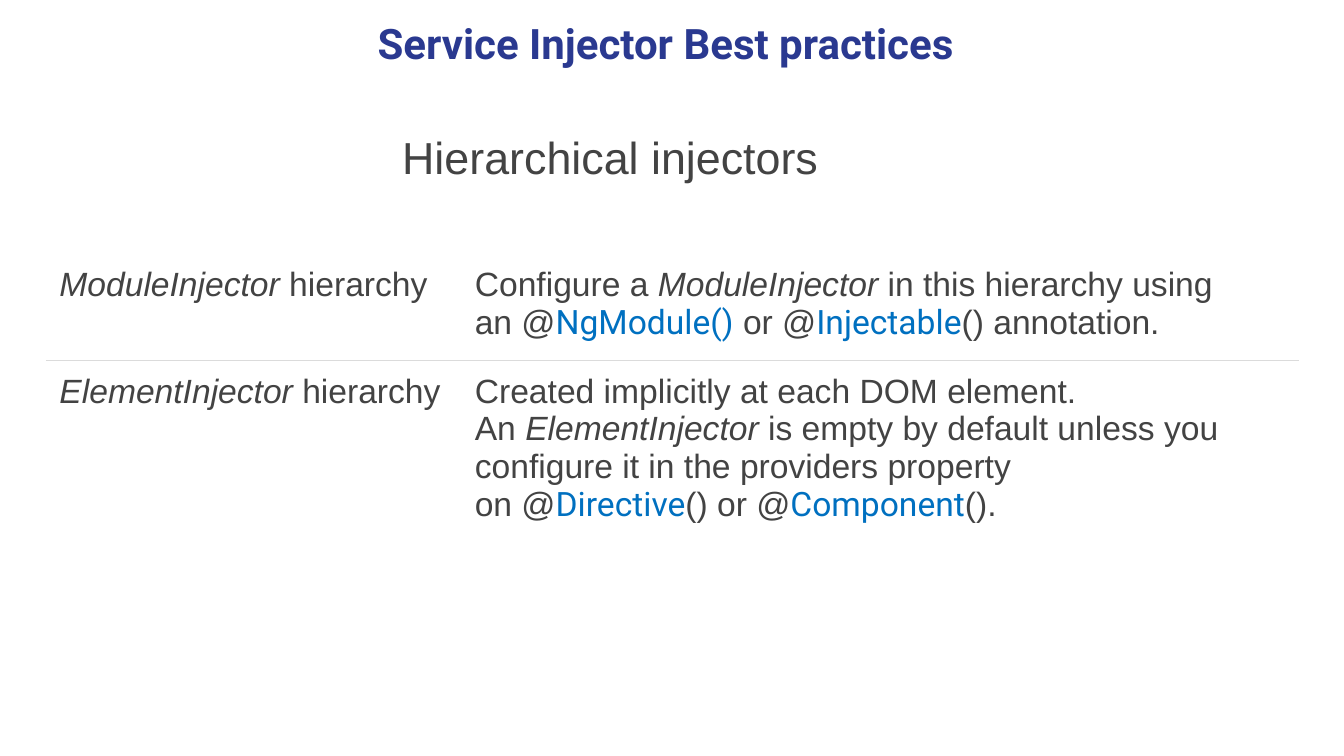
from lxml import etree
from pptx import Presentation
from pptx.dml.color import RGBColor
from pptx.enum.text import MSO_ANCHOR, PP_ALIGN
from pptx.oxml.ns import qn
from pptx.util import Inches, Pt

MIDDLE, TOP = MSO_ANCHOR.MIDDLE, MSO_ANCHOR.TOP
CENTER, LEFT = PP_ALIGN.CENTER, PP_ALIGN.LEFT
NAVY = RGBColor(0x2A, 0x39, 0x90)
GREY = RGBColor(0x43, 0x43, 0x43)
BLUE = RGBColor(0x00, 0x70, 0xC0)
WHITE = RGBColor(0xFF, 0xFF, 0xFF)
RULE = RGBColor(0xDB, 0xDB, 0xDB)

# style: font, colour, bold, italic
STYLES = {
    "title": ("Roboto", NAVY, True, False),
    "plain": ("Arial", GREY, False, False),
    "term": ("Arial", GREY, False, True),
    "code": ("Roboto", BLUE, False, False),
}
TITLE = [("Service Injector Best practices", "title")]
SUBTITLE = [("Hierarchical injectors", "plain")]
# "~" stands for a space that does not break
ROWS = [
    ([("ModuleInjector", "term"), ("~hierarchy", "plain")],
     [("Configure a~", "plain"), ("ModuleInjector", "term"),
      ("~in this hierarchy using an~@", "plain"), ("NgModule()", "code"),
      ("~or~@", "plain"), ("Injectable", "code"),
      ("()~annotation.", "plain")]),
    ([("ElementInjector", "term"), ("~hierarchy", "plain")],
     [("Created implicitly at each DOM element. An~", "plain"),
      ("ElementInjector", "term"),
      ("~is empty by default unless you configure it in the~providers~property on~@",
       "plain"),
      ("Directive", "code"), ("()~or~@", "plain"),
      ("Component", "code"), ("().", "plain")]),
]
COLUMN_WIDTHS = (4.12, 8.3)
ROW_HEIGHTS = (1.06, 1.87)
CELL_MARGIN = 0.13


def write_runs(p, runs, size):
    for text, style in runs:
        r = p.add_run()
        r.text = text.replace("~", chr(160))
        font = r.font
        font.size = Pt(size)
        font.name, font.color.rgb, font.bold, font.italic = STYLES[style]


def add_text(slide, box, runs, size, align, anchor):
    tf = slide.shapes.add_textbox(*map(Inches, box)).text_frame
    tf.word_wrap = True
    tf.vertical_anchor = anchor
    p = tf.paragraphs[0]
    p.alignment = align
    write_runs(p, runs, size)


def add_border(cell, side):
    """Draw a thin rule on one side of a cell: lnT or lnB."""
    ln = etree.Element(qn("a:" + side), w=str(Pt(0.6)))
    fill = etree.SubElement(ln, qn("a:solidFill"))
    etree.SubElement(fill, qn("a:srgbClr"), val=str(RULE))
    cell._tc.get_or_add_tcPr().insert(0, ln)


def add_hierarchy_table(slide):
    frame = slide.shapes.add_table(
        len(ROWS), len(COLUMN_WIDTHS), Inches(0.46), Inches(2.51),
        Inches(sum(COLUMN_WIDTHS)), Inches(sum(ROW_HEIGHTS)))
    table = frame.table
    table.first_row = table.horz_banding = False
    for column, width in zip(table.columns, COLUMN_WIDTHS):
        column.width = Inches(width)
    for i, (row, height) in enumerate(zip(ROWS, ROW_HEIGHTS)):
        table.rows[i].height = Inches(height)
        for j, runs in enumerate(row):
            cell = table.cell(i, j)
            cell.margin_left = cell.margin_right = Inches(CELL_MARGIN)
            cell.margin_top = cell.margin_bottom = Inches(CELL_MARGIN)
            cell.fill.solid()
            cell.fill.fore_color.rgb = WHITE
            add_border(cell, "lnB" if i == 0 else "lnT")
            write_runs(cell.text_frame.paragraphs[0], runs, 24)


def main():
    prs = Presentation()
    prs.slide_width, prs.slide_height = Inches(13.33), Inches(7.5)
    slide = prs.slides.add_slide(prs.slide_layouts[6])
    add_text(slide, (2.14, 0, 8.93, 0.85), TITLE, 30, CENTER, MIDDLE)
    add_text(slide, (3.89, 1.24, 5.2, 0.64), SUBTITLE, 32, LEFT, TOP)
    add_hierarchy_table(slide)
    prs.save("out.pptx")


if __name__ == "__main__":
    main()
